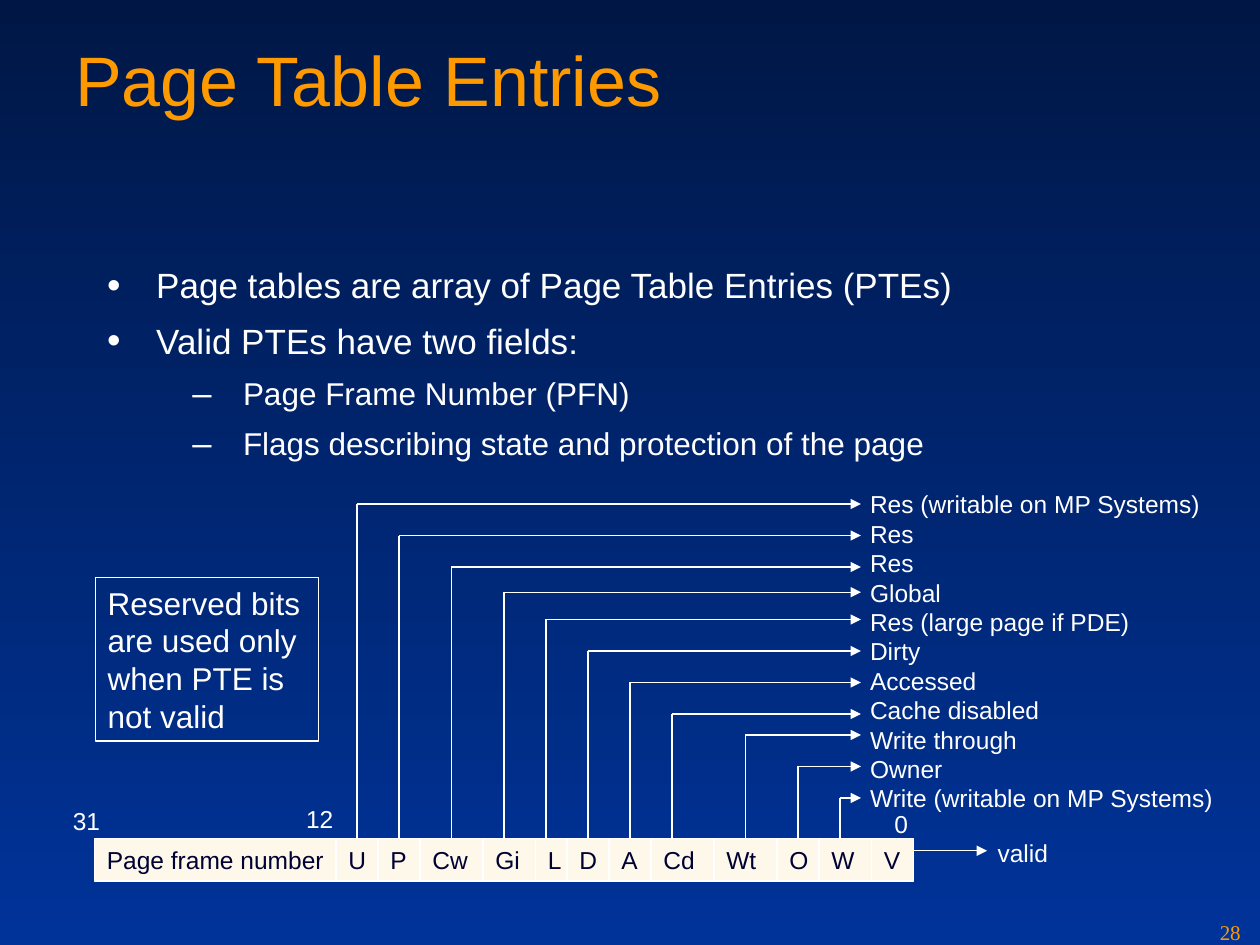
from lxml.etree import SubElement
from pptx import Presentation
from pptx.dml.color import RGBColor
from pptx.enum.shapes import MSO_CONNECTOR as Link, MSO_SHAPE as Shape
from pptx.enum.text import MSO_ANCHOR as Anchor, MSO_AUTO_SIZE as AutoSize, PP_ALIGN as Align
from pptx.oxml.ns import qn
from pptx.util import Cm, Pt

COLOURS = {"night": "001746", "blue": "003399", "orange": "FE9900",
           "white": "FFFFFF", "cream": "FEF8EA", "ink": "000033"}

# Content: text, indent level
bullets = [
    ("Page tables are array of Page Table Entries (PTEs)", 0),
    ("Valid PTEs have two fields:", 0),
    ("Page Frame Number (PFN)", 1),
    ("Flags describing state and protection of the page", 1),
]
levels = [
    {"char": "•", "size": 20, "margin": 0.99, "hang": 0.99, "gap": 5},
    {"char": "–", "size": 18, "margin": 2.74, "hang": 1.02, "gap": 4.5},
]
# Bit name, width, stem offset in the cell, arrow height, meaning (twelfths of an inch)
flags = [
    ("U", 4, 2, 48, "Res (writable on MP Systems)"),
    ("P", 4, 2, 51, "Res"),
    ("Cw", 6, 3, 54, "Res"),
    ("Gi", 5, 2, 56.4, "Global"),
    ("L", 3, 1, 59, "Res (large page if PDE)"),
    ("D", 4, 2, 62, "Dirty"),
    ("A", 4, 2, 65, "Accessed"),
    ("Cd", 6, 2, 68, "Cache disabled"),
    ("Wt", 6, 3, 70, "Write through"),
    ("O", 4, 2, 73, "Owner"),
    ("W", 5, 2, 76, "Write (writable on MP Systems)"),
]
FRAME_WIDTH, VALID_WIDTH = 23, 4
reserved_note = "Reserved bits\nare used only\nwhen PTE is\nnot valid"
# Text, left, top, width, height, wrap
bit_labels = [
    ("31", 1.22, 16.13, 1.1, 0.86, False),
    ("12", 5.92, 16.08, 1.1, 0.86, False),
    ("0", 17.78, 16.18, 0.79, 0.86, True),
    ("valid", 19.86, 16.76, 1.52, 0.86, False),
]

UNIT = 2.54 / 12
ROW_LEFT, ROW_TOP, ROW_HEIGHT = 9, 16.91, 0.86
ARROW_END = 82 * UNIT

prs = Presentation()
prs.slide_width, prs.slide_height = Cm(25.4), Cm(19.05)
slide = prs.slides.add_slide(prs.slide_layouts[6])


def colour(name):
    return RGBColor.from_string(COLOURS[name])


def write(shape, lines, size=14, ink="white", font="Arial", wrap=True,
          fit=AutoSize.SHAPE_TO_FIT_TEXT, right=0.25):
    frame = shape.text_frame
    frame_format = {"word_wrap": wrap, "auto_size": fit, "vertical_anchor": Anchor.TOP,
                    "margin_right": Cm(right)}
    for name, value in frame_format.items():
        setattr(frame, name, value)
    for i, line in enumerate(lines):
        paragraph = frame.paragraphs[0] if i == 0 else frame.add_paragraph()
        paragraph.text = line
        paragraph.alignment = Align.LEFT
        for run in paragraph.runs:
            for name, value in {"name": font, "size": Pt(size)}.items():
                setattr(run.font, name, value)
            run.font.color.rgb = colour(ink)
    return shape


def text_box(lines, left, top, width, height, **style):
    return write(slide.shapes.add_textbox(Cm(left), Cm(top), Cm(width), Cm(height)), lines, **style)


def rectangle(left, top, width, height, fill=None):
    box = slide.shapes.add_shape(Shape.RECTANGLE, Cm(left), Cm(top), Cm(width), Cm(height))
    box.shadow.inherit = False
    if fill:
        box.fill.solid()
        box.fill.fore_color.rgb = colour(fill)
    else:
        box.fill.background()
    box.line.color.rgb = colour("white")
    box.line.width = Pt(0.75)
    return box


def line(x1, y1, x2, y2, arrow=False):
    link = slide.shapes.add_connector(Link.STRAIGHT, Cm(x1), Cm(y1), Cm(x2), Cm(y2))
    link.line.color.rgb = colour("white")
    link.line.width = Pt(0.75)
    if arrow:
        SubElement(link.line._get_or_add_ln(), qn("a:tailEnd"), type="triangle")
    SubElement(link._element.spPr, qn("a:effectLst"))
    return link


# Background
background = slide.background.fill
background.gradient()
background.gradient_angle = 270
for stop, name in zip(background.gradient_stops, ("night", "blue")):
    stop.color.rgb = colour(name)

# Title and bullets
text_box(["Page Table Entries"], 1.27, 0.61, 22.86, 3.18, size=40, ink="orange", fit=AutoSize.NONE)
body = text_box([text for text, _ in bullets], 1.91, 5.29, 22.43, 4.45, fit=AutoSize.NONE)
for i, (paragraph, (_, depth)) in enumerate(zip(body.text_frame.paragraphs, bullets)):
    level = levels[depth]
    props = paragraph._p.get_or_add_pPr()
    props.set("marL", str(Cm(level["margin"])))
    props.set("indent", str(-Cm(level["hang"])))
    SubElement(SubElement(props, qn("a:buClr")), qn("a:srgbClr"), val=COLOURS["white"])
    SubElement(props, qn("a:buSzPct"), val="110000")
    SubElement(props, qn("a:buFont"), typeface="Arial")
    SubElement(props, qn("a:buChar"), char=level["char"])
    spacing = {"level": depth, "line_spacing": 0.9, "space_after": Pt(level["gap"]),
               "space_before": Pt(level["gap"] if i else 0)}
    for name, value in spacing.items():
        setattr(paragraph, name, value)
    paragraph.runs[0].font.size = Pt(level["size"])

# Entry layout: one cell per field, side by side
fields = [("Page frame number", FRAME_WIDTH)] + [flag[:2] for flag in flags] + [("V", VALID_WIDTH)]
row_width = sum(width for _, width in fields)
rectangle(ROW_LEFT * UNIT, ROW_TOP, row_width * UNIT, 0.84, "cream")
cells = {}
x = ROW_LEFT
for field, width in fields:
    cell = rectangle(x * UNIT, ROW_TOP, width * UNIT, ROW_HEIGHT)
    cells[field] = (write(cell, [field], ink="ink", right=0), x)
    x += width

# Stem and arrow from each flag to its meaning
for field, width, offset, height, _ in flags:
    cell, left = cells[field]
    stem_x, arrow_y = (left + offset) * UNIT, height * UNIT
    stem = line(stem_x, ROW_TOP, stem_x, arrow_y)
    if offset * 2 == width:
        stem.begin_connect(cell, 0)
    line(stem_x, arrow_y, ARROW_END, arrow_y, arrow=True)
line(x * UNIT, 17.15, 19.9, 17.15, arrow=True)

# Meanings, bit numbers, note and page number
text_box([flag[-1] for flag in flags], 17.29, 9.74, 7.44, 6.78, wrap=False)
for label, left, top, width, height, wrap in bit_labels:
    text_box([label], left, top, width, height, wrap=wrap, right=0)
write(rectangle(1.92, 11.64, 4.5, 3.3), [reserved_note], size=18, wrap=False)
text_box(["28"], 24.34, 18.42, 1.07, 0.63, size=12, ink="orange",
         font="Times New Roman", fit=AutoSize.NONE)

prs.save("out.pptx")
